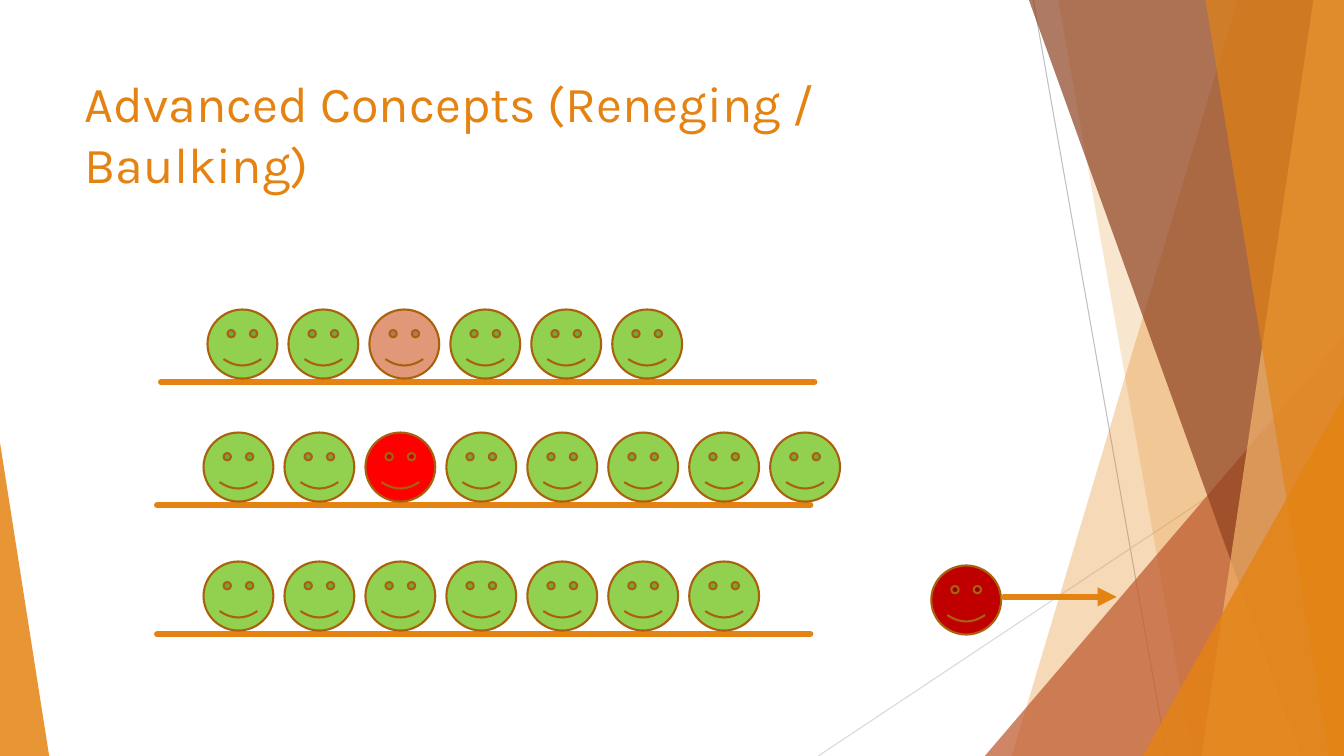
from dataclasses import dataclass

from lxml.etree import SubElement
from pptx import Presentation
from pptx.dml.color import RGBColor
from pptx.dml.fill import FillFormat
from pptx.enum.shapes import MSO_CONNECTOR, MSO_SHAPE
from pptx.enum.text import MSO_ANCHOR, PP_ALIGN
from pptx.oxml.ns import qn
from pptx.shapes.connector import Connector
from pptx.slide import Slide
from pptx.util import Cm, Pt

COLORS = {
    "orange": "E48312",
    "light_orange": "F3B56C",
    "rust": "BD582C",
    "brown": "8E4221",
    "outline": "A9610D",
    "grey": "BFBFBF",
    "light_grey": "D9D9D9",
    "waiting": "92D050",
    "impatient": "E09878",
    "angry": "FF0000",
    "leaving": "C00000",
}
FONT = "Karla"
PAGE_WIDTH, PAGE_HEIGHT = 33.87, 19.05
FACE_WIDTH, FACE_HEIGHT, FACE_STEP = 1.76, 1.74, 2.04
LINE_INDENT, LINE_DROP, LINE_LENGTH = 1.17, 1.83, 16.46


@dataclass(frozen=True)
class Band:
    """Strip from a slanted left edge to the right side of the page."""
    top_x: float
    bottom_x: float
    color: str
    opacity: int


@dataclass(frozen=True)
class Corner:
    """Right triangle standing on the bottom of the page."""
    left: float
    top: float
    width: float
    peak: float
    color: str
    opacity: int


@dataclass(frozen=True)
class Queue:
    left: float
    top: float
    moods: tuple[str, ...]


DECOR: tuple[Band | Corner, ...] = (
    Band(31.19, 25.5, "orange", 30),
    Band(26.67, 30.05, "orange", 20),
    Corner(24.82, 8.46, 9.05, 1, "rust", 72),
    Band(25.93, 32.79, "brown", 70),
    Band(33.1, 30.28, "light_orange", 70),
    Band(30.38, 33.48, "orange", 65),
    Corner(28.8, 9.98, 5.07, 1, "orange", 80),
    Corner(0, 11.15, 1.24, 0, "orange", 85),
)
QUEUES = (
    Queue(5.23, 7.8, ("waiting",) * 2 + ("impatient",) + ("waiting",) * 3),
    Queue(5.13, 10.9, ("waiting",) * 2 + ("angry",) + ("waiting",) * 5),
    Queue(5.13, 14.15, ("waiting",) * 7),
)


def rgb(name: str) -> RGBColor:
    return RGBColor.from_string(COLORS[name])


def fill_translucent(fill: FillFormat, color: str, opacity: int) -> None:
    fill.solid()
    fill.fore_color.rgb = rgb(color)
    # The color element sits in the solid fill of the shape properties
    color_element = fill._xPr.find(qn("a:solidFill"))[0]
    SubElement(color_element, qn("a:alpha"), val=str(opacity * 1000))


def add_decor(page: Slide, part: Band | Corner) -> None:
    if isinstance(part, Band):
        builder = page.shapes.build_freeform(Cm(part.top_x), 0)
        builder.add_line_segments([
            (Cm(PAGE_WIDTH), 0),
            (Cm(PAGE_WIDTH), Cm(PAGE_HEIGHT)),
            (Cm(part.bottom_x), Cm(PAGE_HEIGHT)),
        ])
        shape = builder.convert_to_shape()
    else:
        shape = page.shapes.add_shape(
            MSO_SHAPE.ISOSCELES_TRIANGLE, Cm(part.left), Cm(part.top),
            Cm(part.width), Cm(PAGE_HEIGHT - part.top))
        shape.adjustments[0] = part.peak
    shape.shadow.inherit = False
    shape.line.fill.background()
    fill_translucent(shape.fill, part.color, part.opacity)


def add_line(page: Slide, start: tuple[float, float], end: tuple[float, float],
             color: str, width: float) -> Connector:
    line = page.shapes.add_connector(
        MSO_CONNECTOR.STRAIGHT, Cm(start[0]), Cm(start[1]), Cm(end[0]), Cm(end[1]))
    line.line.color.rgb = rgb(color)
    line.line.width = Pt(width)
    line.line._get_or_add_ln().set("cap", "rnd")
    SubElement(line._element.spPr, qn("a:effectLst"))
    return line


def add_face(page: Slide, left: float, top: float, mood: str) -> None:
    face = page.shapes.add_shape(
        MSO_SHAPE.SMILEY_FACE, Cm(left), Cm(top), Cm(FACE_WIDTH), Cm(FACE_HEIGHT))
    face.shadow.inherit = False
    face.fill.solid()
    face.fill.fore_color.rgb = rgb(mood)
    face.line.color.rgb = rgb("outline")
    face.line.width = Pt(1.5)


def add_queue(page: Slide, queue: Queue) -> None:
    left, level = queue.left - LINE_INDENT, queue.top + LINE_DROP
    add_line(page, (left, level), (left + LINE_LENGTH, level), "orange", 4.5)
    for place, mood in enumerate(queue.moods):
        add_face(page, queue.left + place * FACE_STEP, queue.top, mood)


def set_title(page: Slide, text: str) -> None:
    title = page.shapes.title
    title.left, title.top = Cm(1.88), Cm(1.7)
    title.width, title.height = Cm(23.88), Cm(3.66)
    frame = title.text_frame
    frame.word_wrap = True
    frame.vertical_anchor = MSO_ANCHOR.TOP
    para = frame.paragraphs[0]
    para.alignment = PP_ALIGN.LEFT
    span = para.add_run()
    span.text = text
    span.font.name = FONT
    span.font.size = Pt(36)
    span.font.color.rgb = rgb("orange")


def main() -> None:
    deck = Presentation()
    deck.slide_width, deck.slide_height = Cm(PAGE_WIDTH), Cm(PAGE_HEIGHT)
    page = deck.slides.add_slide(deck.slide_layouts.get_by_name("Title Only"))

    # Background decoration
    add_line(page, (26.04, 0), (29.41, PAGE_HEIGHT), "grey", 0.75)
    add_line(page, (PAGE_WIDTH, 10.24), (20.62, PAGE_HEIGHT), "light_grey", 0.75)
    for part in DECOR:
        add_decor(page, part)

    set_title(page, "Advanced Concepts (Reneging / Baulking)")

    # Three stages of the queue
    for queue in QUEUES:
        add_queue(page, queue)

    # Customer who gives up and walks away
    add_face(page, 23.47, 14.25, "leaving")
    arrow = add_line(page, (25.3, 15.04), (28.14, 15.04), "orange", 4.5)
    SubElement(arrow.line._get_or_add_ln(), qn("a:tailEnd"), type="triangle")

    deck.save("out.pptx")


if __name__ == "__main__":
    main()
